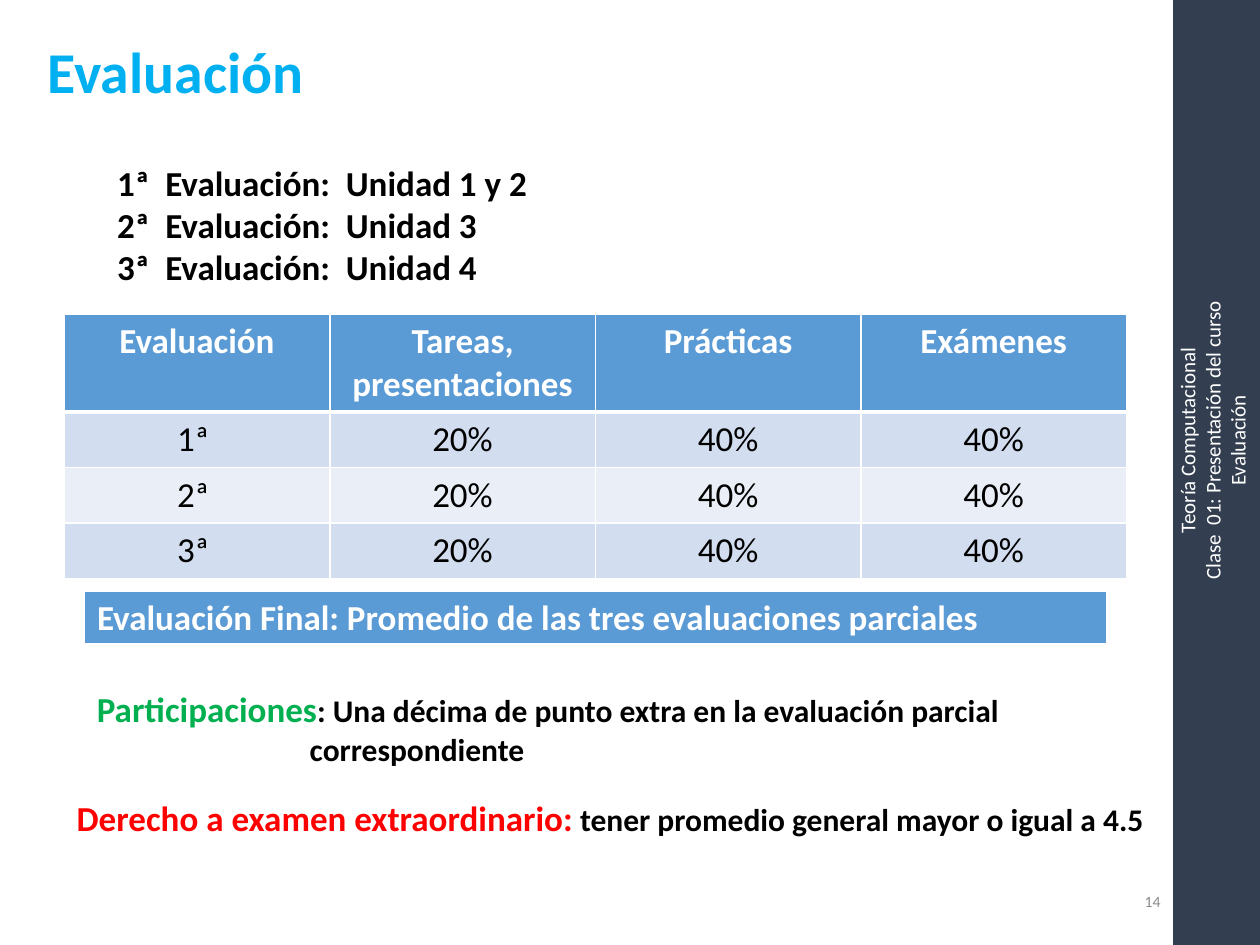
import pptx
import pptx.util
import pptx.dml.color
import pptx.enum.shapes
import pptx.enum.text
import pptx.oxml
import pptx.oxml.ns

Inches = pptx.util.Inches
Pt = pptx.util.Pt
ALIGN = pptx.enum.text.PP_ALIGN
ANCHOR = pptx.enum.text.MSO_ANCHOR

COLORS = {
    "navy": "333F50", "title": "00B0F0", "white": "FFFFFF", "black": "000000",
    "grey": "8C8C8C", "header": "5B9BD5", "odd": "D2DEEF", "even": "EAEFF7",
    "green": "00B050", "red": "FF0000",
}


class SlideBuilder:
    """Holds the style and the current slide, and adds each kind of element."""

    def __init__(self, prs, font="Calibri"):
        self.font = font
        self.s = prs.slides.add_slide(prs.slide_layouts[1])

    def color(self, name):
        return pptx.dml.color.RGBColor.from_string(COLORS[name])

    def style(self, r, size, color, bold=False):
        r.font.name = self.font
        r.font.size = Pt(size)
        r.font.bold = bold
        r.font.color.rgb = self.color(color)

    def place(self, sp, box):
        sp.left, sp.top, sp.width, sp.height = map(Inches, box)

    def fill_text(self, tf, lines, size, color, bold=False, align=ALIGN.LEFT):
        tf.word_wrap = True
        tf.auto_size = pptx.enum.text.MSO_AUTO_SIZE.NONE
        tf.text = "\n".join(lines)
        for p in tf.paragraphs:
            p.alignment = align
            p.space_before = Pt(0)
            for r in p.runs:
                self.style(r, size, color, bold)

    def title(self, text, box):
        sp = self.s.shapes.title
        self.place(sp, box)
        tf = sp.text_frame
        self.fill_text(tf, [text], 33, "title", True)
        tf.vertical_anchor = ANCHOR.MIDDLE
        tf.paragraphs[0].line_spacing = 0.9

    def body(self, lines, box):
        sp = self.s.placeholders[1]
        self.place(sp, box)
        self.fill_text(sp.text_frame, lines, 20, "black", True, ALIGN.JUSTIFY)
        for p in sp.text_frame.paragraphs:
            self.indent(p, 0)
            pPr = p._p.get_or_add_pPr()
            pPr.append(pptx.oxml.parse_xml(
                f"<a:buNone {pptx.oxml.ns.nsdecls('a')}/>"))

    def indent(self, p, left):
        pPr = p._p.get_or_add_pPr()
        pPr.set("marL", str(Inches(left)))
        pPr.set("indent", "0")

    def bar(self, box):
        sp = self.s.shapes.add_shape(
            pptx.enum.shapes.MSO_SHAPE.RECTANGLE, *map(Inches, box))
        sp.shadow.inherit = False
        sp.fill.solid()
        sp.fill.fore_color.rgb = self.color("navy")
        sp.line.color.rgb = self.color("navy")
        sp.line.width = Pt(1)

    def text(self, lines, box, size, color, align, rotation=0):
        sp = self.s.shapes.add_textbox(*map(Inches, box))
        sp.rotation = rotation
        self.fill_text(sp.text_frame, lines, size, color, align=align)
        sp.text_frame.vertical_anchor = ANCHOR.MIDDLE

    def note(self, lead, color, rest, box, hanging=None, left=0):
        sp = self.s.shapes.add_textbox(*map(Inches, box))
        tf = sp.text_frame
        tf.word_wrap = True
        p = tf.paragraphs[0]
        for words, size, tone in ((lead, 20, color), (rest, 18, "black")):
            r = p.add_run()
            r.text = words
            self.style(r, size, tone, True)
        if hanging:
            p = tf.add_paragraph()
            p.text = hanging
            self.indent(p, left)
            self.style(p.runs[0], 18, "black", True)

    def borders(self, cell, bottom):
        tcPr = cell._tc.get_or_add_tcPr()
        widths = {"lnL": 1, "lnR": 1, "lnT": 1, "lnB": bottom}
        for i, (tag, width) in enumerate(widths.items()):
            tcPr.insert(i, pptx.oxml.parse_xml(
                f'<a:{tag} {pptx.oxml.ns.nsdecls("a")} w="{Pt(width)}">'
                f'<a:solidFill><a:srgbClr val="{COLORS["white"]}"/></a:solidFill>'
                f"</a:{tag}>"))

    def table(self, rows, box, heights, align):
        shape = self.s.shapes.add_table(
            len(rows), len(rows[0]), *map(Inches, box))
        tbl = shape.table
        for i, (row, height) in enumerate(zip(rows, heights)):
            tbl.rows[i].height = Inches(height)
            head = i == 0
            fill = "header" if head else ("odd" if i % 2 else "even")
            for j, words in enumerate(row):
                cell = tbl.cell(i, j)
                cell.fill.solid()
                cell.fill.fore_color.rgb = self.color(fill)
                self.borders(cell, 3 if head else 1)
                p = cell.text_frame.paragraphs[0]
                p.text = words
                p.alignment = align
                self.style(p.runs[0], 20, "white" if head else "black", head)


def main():
    prs = pptx.Presentation()
    prs.slide_width, prs.slide_height = Inches(10), Inches(7.5)
    b = SlideBuilder(prs)
    ordinals = ["1ª", "2ª", "3ª"]

    b.bar((9.32, 0, 0.67, 7.5))
    b.title("Evaluación", (0.28, -0.03, 9, 1.25))
    b.text(["Teoría Computacional", "Clase  01: Presentación del curso", "Evaluación"],
           (7.08, 3.21, 5.08, 0.57), 12, "white", ALIGN.CENTER, 270)
    b.text(["14"], (7.06, 6.95, 2.25, 0.4), 9, "grey", ALIGN.RIGHT)

    units = ["1 y 2", "3", "4"]
    b.body([f"{o}  Evaluación:  Unidad {u}" for o, u in zip(ordinals, units)],
           (0.83, 1.23, 5.55, 1.38))

    header = ["Evaluación", "Tareas, presentaciones", "Prácticas", "Exámenes"]
    weights = ["20%", "40%", "40%"]
    b.table([header] + [[o + " "] + weights for o in ordinals],
            (0.51, 2.49, 8.43, 2.07), [0.77] + [0.43] * 3, ALIGN.CENTER)
    b.note("Participaciones", "green",
           ": Una décima de punto extra en la evaluación parcial",
           (0.67, 5.41, 7.7, 0.74), "correspondiente", 1.69)
    b.table([["Evaluación Final: Promedio de las tres evaluaciones parciales"]],
            (0.67, 4.69, 8.11, 0.43), [0.43], ALIGN.LEFT)
    b.note("Derecho a examen extraordinario:", "red",
           " tener promedio general mayor o igual a 4.5",
           (0.51, 6.27, 8.71, 0.74))
    prs.save("out.pptx")


if __name__ == "__main__":
    main()
